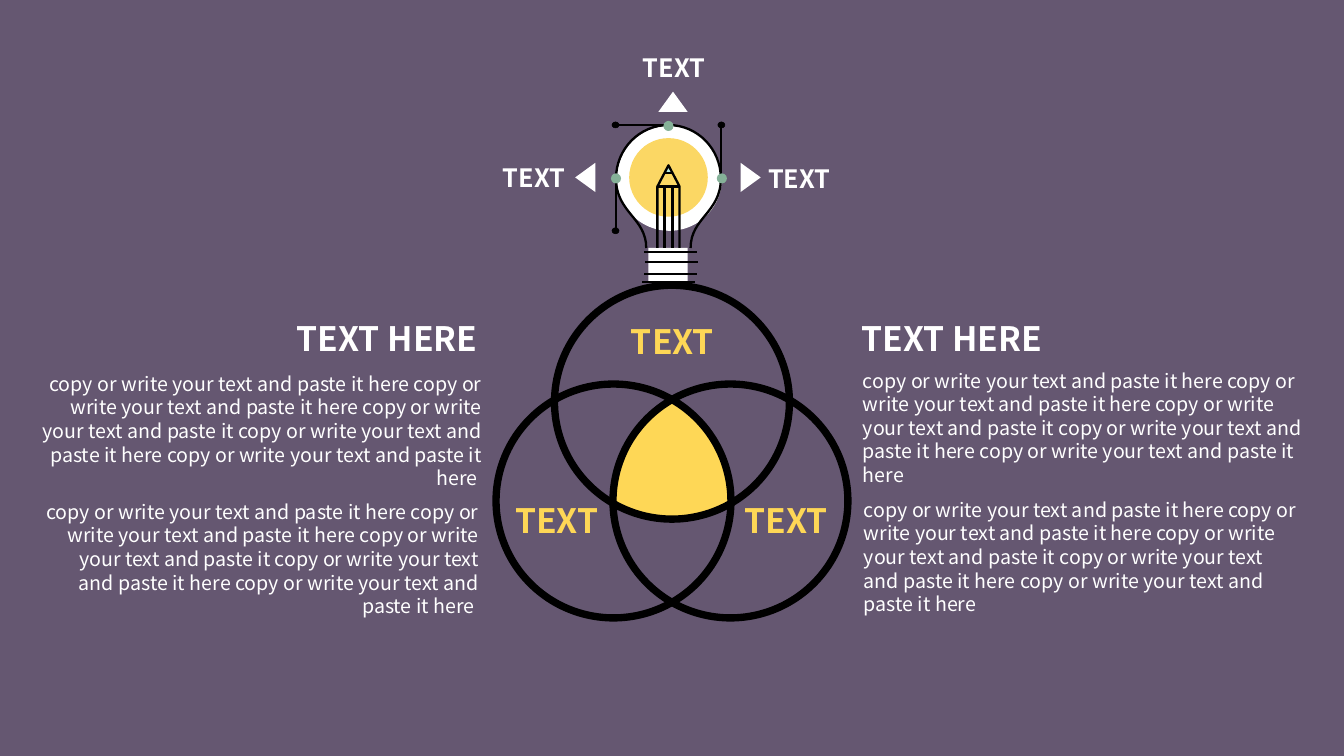
from lxml import etree
from pptx import Presentation
from pptx.dml.color import RGBColor
from pptx.enum.shapes import MSO_CONNECTOR, MSO_SHAPE as SHAPE
from pptx.enum.text import MSO_AUTO_SIZE, PP_ALIGN as ALIGN
from pptx.oxml.ns import qn
from pptx.util import Inches, Pt

PURPLE = RGBColor(0x65, 0x57, 0x71)
YELLOW = RGBColor(0xFE, 0xD7, 0x56)
GLOW = RGBColor(0xFB, 0xD7, 0x64)
MINT = RGBColor(0xBC, 0xEB, 0xDD)
GREEN = RGBColor(0x85, 0xB1, 0x98)
WHITE = RGBColor(0xFF, 0xFF, 0xFF)
BLACK = RGBColor(0, 0, 0)
FONT = "Noto Sans CJK SC"
THIN, THICK = 1.63, 5.25

PHRASE = "copy or write your text and paste it"
BODY = f"{PHRASE} here {PHRASE} here {PHRASE} {PHRASE} here {PHRASE} here"
BODIES = [
    (8.47, 4.89, 4.5, BODY, ALIGN.LEFT),
    (0.31, 4.91, 4.54, BODY + " ", ALIGN.RIGHT),
    (0.23, 3.64, 4.65, BODY + " ", ALIGN.RIGHT),
    (8.46, 3.61, 4.65, BODY, ALIGN.LEFT),
]
HEADINGS = [(2.81, 3.1), (8.41, 3.1)]
RING_LABELS = [(6.14, 3.13), (4.99, 4.91), (7.27, 4.91)]
BULB_LABELS = [(4.89, 1.56, ALIGN.LEFT), (6.26, 0.47, ALIGN.CENTER), (7.52, 1.57, ALIGN.LEFT)]
ARROWS = [(6.53, 0.91, 0), (7.3, 1.66, 90), (5.66, 1.66, 270)]

RINGS = [(4.92, 3.81), (6.08, 3.81), (5.5, 2.83)]
OVERLAP = [(6.66, 3.97),
           (6.32, 4.17), (6.08, 4.54), (6.08, 4.98),
           (6.08, 4.98), (6.08, 4.99), (6.08, 4.99),
           (6.25, 5.09), (6.45, 5.15), (6.66, 5.15),
           (6.88, 5.15), (7.08, 5.09), (7.25, 4.99),
           (7.25, 4.99), (7.25, 4.98), (7.25, 4.98),
           (7.25, 4.54), (7.01, 4.17), (6.66, 3.97)]
GLASS = [(6.85, 2.46),
         (6.85, 2.16), (7.15, 2.11), (7.15, 1.77),
         (7.15, 1.48), (6.92, 1.24), (6.63, 1.24),
         (6.34, 1.24), (6.11, 1.48), (6.11, 1.77),
         (6.11, 2.11), (6.41, 2.16), (6.41, 2.46)]
PENCIL = [(6.52, 2.46), (6.52, 1.85), (6.63, 1.64), (6.74, 1.85), (6.74, 2.46)]
PENCIL_TIP = [(6.59, 1.72), (6.67, 1.72), (6.63, 1.64)]
HANDLES = [(7.15, 1.77, 7.15, 1.24), (6.63, 1.24, 6.11, 1.24), (6.11, 1.77, 6.11, 2.29)]
THREADS = [(6.39, 2.72), (6.37, 2.8), (6.4, 2.6), (6.39, 2.5)]
PENCIL_LINES = [(6.67, 1.72, 6.59, 1.72), (6.52, 1.85, 6.74, 1.85),
                (6.59, 1.85, 6.59, 2.46), (6.67, 1.85, 6.67, 2.46)]
HANDLE_ENDS = [(6.07, 1.21), (7.12, 1.21), (6.07, 2.26)]
ANCHORS = [(7.11, 1.72), (6.06, 1.72), (6.58, 1.2)]


def paint(sp, fill=None, line=None, width=THIN):
    sp.shadow.inherit = False
    if fill is None:
        sp.fill.background()
    else:
        sp.fill.solid()
        sp.fill.fore_color.rgb = fill
    if line is None:
        sp.line.fill.background()
    else:
        sp.line.color.rgb = line
        sp.line.width = Pt(width)


def add_preset(shapes, kind, x, y, w, h, rotation=0, **style):
    sp = shapes.add_shape(kind, Inches(x), Inches(y), Inches(w), Inches(h))
    sp.rotation = rotation
    paint(sp, **style)


def add_outline(shapes, points, close, **style):
    (x, y), *rest = [(Inches(px), Inches(py)) for px, py in points]
    builder = shapes.build_freeform(x, y)
    builder.add_line_segments(rest, close=close)
    sp = builder.convert_to_shape()
    paint(sp, **style)
    return sp


def add_curve(shapes, points, close, **style):
    """Draw a chain of cubic curves, three points to each curve."""
    sp = add_outline(shapes, points, close, **style)
    steps = list(sp._element.iter(qn("a:lnTo")))[:len(points) - 1]
    for i in range(0, len(steps), 3):
        curve = etree.Element(qn("a:cubicBezTo"))
        steps[i].addprevious(curve)
        for step in steps[i:i + 3]:
            curve.append(step[0])
            step.getparent().remove(step)


def add_line(shapes, *ends):
    line = shapes.add_connector(MSO_CONNECTOR.STRAIGHT, *map(Inches, ends))
    line.line.color.rgb = BLACK
    line.line.width = Pt(THIN)
    etree.SubElement(line._element.spPr, qn("a:effectLst"))


def add_text(shapes, x, y, w, h, text, size, color, align, bold=True, wrap=False):
    tf = shapes.add_textbox(Inches(x), Inches(y), Inches(w), Inches(h)).text_frame
    tf.word_wrap = wrap
    tf.auto_size = MSO_AUTO_SIZE.SHAPE_TO_FIT_TEXT
    p = tf.paragraphs[0]
    p.text = text
    p.alignment = align
    p.font.name = FONT
    p.font.size = Pt(size)
    p.font.bold = bold
    p.font.color.rgb = color


def add_rings(shapes):
    add_curve(shapes, OVERLAP, True, fill=YELLOW)
    for x, y in RINGS:
        add_preset(shapes, SHAPE.OVAL, x, y, 2.33, 2.32, line=BLACK, width=THICK)


def add_main_text(shapes):
    for x, y in RING_LABELS:
        add_text(shapes, x, y, 1.06, 0.5, "TEXT", 24, YELLOW, ALIGN.CENTER)
    for x, y, w, text, align in BODIES:
        add_text(shapes, x, y, w, 1.04, text, 14, WHITE, align, bold=False, wrap=True)
    for x, y in HEADINGS:
        add_text(shapes, x, y, 2.06, 0.5, "TEXT HERE", 24, WHITE, ALIGN.CENTER)


def add_bulb(shapes):
    add_preset(shapes, SHAPE.OVAL, 6.12, 1.25, 1.04, 1.04, fill=WHITE)
    add_preset(shapes, SHAPE.OVAL, 6.24, 1.37, 0.78, 0.78, fill=GLOW)
    add_preset(shapes, SHAPE.RECTANGLE, 6.5, 2.6, 0.26, 0.23, fill=BLACK)
    add_preset(shapes, SHAPE.RECTANGLE, 6.43, 2.46, 0.39, 0.34, fill=WHITE)
    for ends in HANDLES + [(x, y, x + 0.52, y) for x, y in THREADS]:
        add_line(shapes, *ends)
    add_outline(shapes, PENCIL_TIP, True, fill=MINT)
    add_curve(shapes, GLASS, False, line=BLACK)
    for ends in PENCIL_LINES:
        add_line(shapes, *ends)
    add_outline(shapes, PENCIL, False, line=BLACK)
    for x, y in HANDLE_ENDS:
        add_preset(shapes, SHAPE.OVAL, x, y, 0.07, 0.06, fill=BLACK, line=BLACK, width=0.38)
    for x, y in ANCHORS:
        add_preset(shapes, SHAPE.OVAL, x, y, 0.1, 0.1, fill=GREEN)
    for x, y, align in BULB_LABELS:
        add_text(shapes, x, y, 0.85, 0.4, "TEXT", 18, WHITE, align)
    for x, y, rotation in ARROWS:
        add_preset(shapes, SHAPE.ISOSCELES_TRIANGLE, x, y, 0.29, 0.2, rotation, fill=WHITE)


def main():
    prs = Presentation()
    prs.slide_width, prs.slide_height = Inches(13.33), Inches(7.5)
    s = prs.slides.add_slide(prs.slide_layouts[6])
    s.background.fill.solid()
    s.background.fill.fore_color.rgb = PURPLE
    add_rings(s.shapes.add_group_shape().shapes)
    add_main_text(s.shapes)
    add_bulb(s.shapes.add_group_shape().shapes)
    prs.save("out.pptx")


if __name__ == "__main__":
    main()
